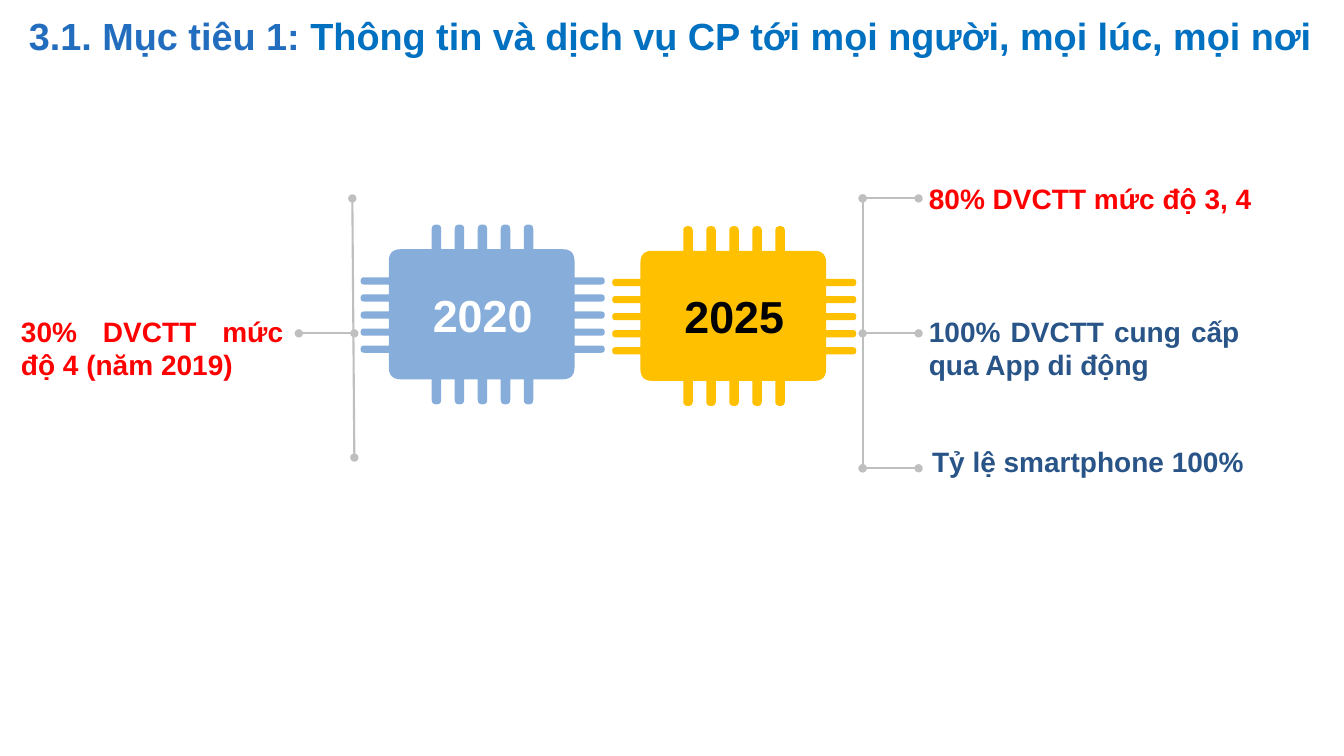
from lxml import etree
from pptx import Presentation
from pptx.dml.color import RGBColor
from pptx.enum.shapes import MSO_CONNECTOR
from pptx.enum.text import MSO_ANCHOR, MSO_AUTO_SIZE, PP_ALIGN
from pptx.oxml.ns import qn
from pptx.util import Cm, Pt

STRAIGHT = MSO_CONNECTOR.STRAIGHT
MIDDLE = MSO_ANCHOR.MIDDLE
FIT_SHAPE = MSO_AUTO_SIZE.SHAPE_TO_FIT_TEXT
CENTER, JUSTIFY = PP_ALIGN.CENTER, PP_ALIGN.JUSTIFY

FONT = "Arial"
RED, NAVY, GREY = "FF0000", "295488", "BFBFBF"
PIN_COUNT = 5
BRANCH_GAP = 3.4


def color(hex_code):
    return RGBColor.from_string(hex_code)


def add_span(para, text, size, hex_code):
    span = para.add_run()
    span.text = text
    span.font.name = FONT
    span.font.size = Pt(size)
    span.font.bold = True
    span.font.color.rgb = color(hex_code)


def add_text_box(page, left, top, width, height):
    box = page.shapes.add_textbox(Cm(left), Cm(top), Cm(width), Cm(height))
    box.text_frame.word_wrap = True
    return box.text_frame


def add_title(page, left, top, width, height):
    para = add_text_box(page, left, top, width, height).paragraphs[0]
    para.line_spacing = 0.9
    add_span(para, "3.1. Mục tiêu 1: ", 27, "226DBE")
    add_span(para, "Thông tin và dịch vụ CP tới mọi người, mọi lúc, mọi nơi", 27, "0070C0")


def add_label(page, left, top, width, height, text, hex_code):
    frame = add_text_box(page, left, top, width, height)
    frame.auto_size = FIT_SHAPE
    para = frame.paragraphs[0]
    para.alignment = JUSTIFY
    add_span(para, text, 20, hex_code)


def add_dotted_line(page, x1, y1, x2, y2):
    """Draw a grey line with a dot at each end."""
    line = page.shapes.add_connector(STRAIGHT, Cm(x1), Cm(y1), Cm(x2), Cm(y2))
    line.line.color.rgb = color(GREY)
    line.line.width = Pt(1.5)
    outline = line.line._get_or_add_ln()
    for end in ("a:headEnd", "a:tailEnd"):
        etree.SubElement(outline, qn(end), type="oval")
    etree.SubElement(line._element.spPr, qn("a:effectLst"))


def pins(first, pitch, half, base, tip):
    """Corners of a row of pins as (along, across, radius)."""
    corners = []
    for number in range(PIN_COUNT):
        middle = first + number * pitch
        corners += [(middle - half, base, 0), (middle - half, tip, half),
                    (middle + half, tip, half), (middle + half, base, 0)]
    return corners


def swap_axes(corners):
    return [(across, along, radius) for along, across, radius in corners]


def chip_corners(width, height):
    left, right = 0.71, width - 0.76
    top, bottom = 0.62, height - 0.63
    column_pins = (1.91, 0.58, 0.12)
    row_pins = (1.42, 0.43, 0.09)
    return [
        (left, top, 0.3), *pins(*column_pins, top, 0),
        (right, top, 0.3), *swap_axes(pins(*row_pins, right, width)),
        (right, bottom, 0.3), *reversed(pins(*column_pins, bottom, height)),
        (left, bottom, 0.3), *reversed(swap_axes(pins(*row_pins, left, 0))),
    ]


def toward(start, goal, distance):
    dx, dy = goal[0] - start[0], goal[1] - start[1]
    share = distance / (abs(dx) + abs(dy))
    return start[0] + dx * share, start[1] + dy * share


def round_corners(corners, steps=6):
    """Replace each corner that has a radius by points on a curve."""
    points = []
    for index, corner in enumerate(corners):
        x, y, radius = corner
        if not radius:
            points.append((x, y))
            continue
        x1, y1 = toward(corner, corners[index - 1], radius)
        x2, y2 = toward(corner, corners[(index + 1) % len(corners)], radius)
        for step in range(steps + 1):
            t = step / steps
            points.append(((1 - t) ** 2 * x1 + 2 * t * (1 - t) * x + t ** 2 * x2,
                           (1 - t) ** 2 * y1 + 2 * t * (1 - t) * y + t ** 2 * y2))
    return points


def add_chip(page, left, top, width, height, year, fill, text_color):
    points = [(Cm(left + x), Cm(top + y))
              for x, y in round_corners(chip_corners(width, height))]
    builder = page.shapes.build_freeform(*points[0])
    builder.add_line_segments(points[1:], close=True)
    chip = builder.convert_to_shape()
    chip.shadow.inherit = False
    chip.fill.solid()
    chip.fill.fore_color.rgb = color(fill)
    chip.line.fill.background()
    chip.text_frame.vertical_anchor = MIDDLE
    para = chip.text_frame.paragraphs[0]
    para.alignment = CENTER
    add_span(para, year, 32, text_color)


def add_left_branch(page, left, top, width):
    spine = left + width
    middle = top + BRANCH_GAP
    add_dotted_line(page, spine, top + 6.53, spine - 0.05, top)
    add_dotted_line(page, spine, middle, spine - 1.4, middle)
    add_label(page, left, middle - 0.61, 7.11, 1.96,
              "30% DVCTT mức độ 4 (năm 2019)", RED)


def add_right_branches(page, left, top):
    labels = [
        (1.42, -0.55, 8.97, 1.12, "80% DVCTT mức độ 3, 4", RED),
        (1.42, -0.61, 8.33, 1.96, "100% DVCTT cung cấp qua App di động", NAVY),
        (1.5, -0.73, 9.35, 1.12, "Tỷ lệ smartphone 100%", NAVY),
    ]
    add_dotted_line(page, left, top + 2 * BRANCH_GAP, left, top)
    for number, (shift, rise, width, height, text, hex_code) in enumerate(labels):
        y = top + number * BRANCH_GAP
        add_dotted_line(page, left + 1.41, y, left, y)
        add_label(page, left + shift, y + rise, width, height, text, hex_code)


def main():
    deck = Presentation()
    deck.slide_width, deck.slide_height = Cm(33.87), Cm(19.05)
    page = deck.slides.add_slide(deck.slide_layouts[6])
    add_chip(page, 9.09, 5.66, 6.15, 4.53, "2020", "87ADDB", "FFFFFF")
    add_chip(page, 15.43, 5.7, 6.15, 4.53, "2025", "FFC000", "000000")
    add_left_branch(page, 0.28, 5, 8.65)
    add_right_branches(page, 21.74, 5)
    add_title(page, 0.48, 0.33, 33.05, 2.11)
    deck.save("out.pptx")


if __name__ == "__main__":
    main()
